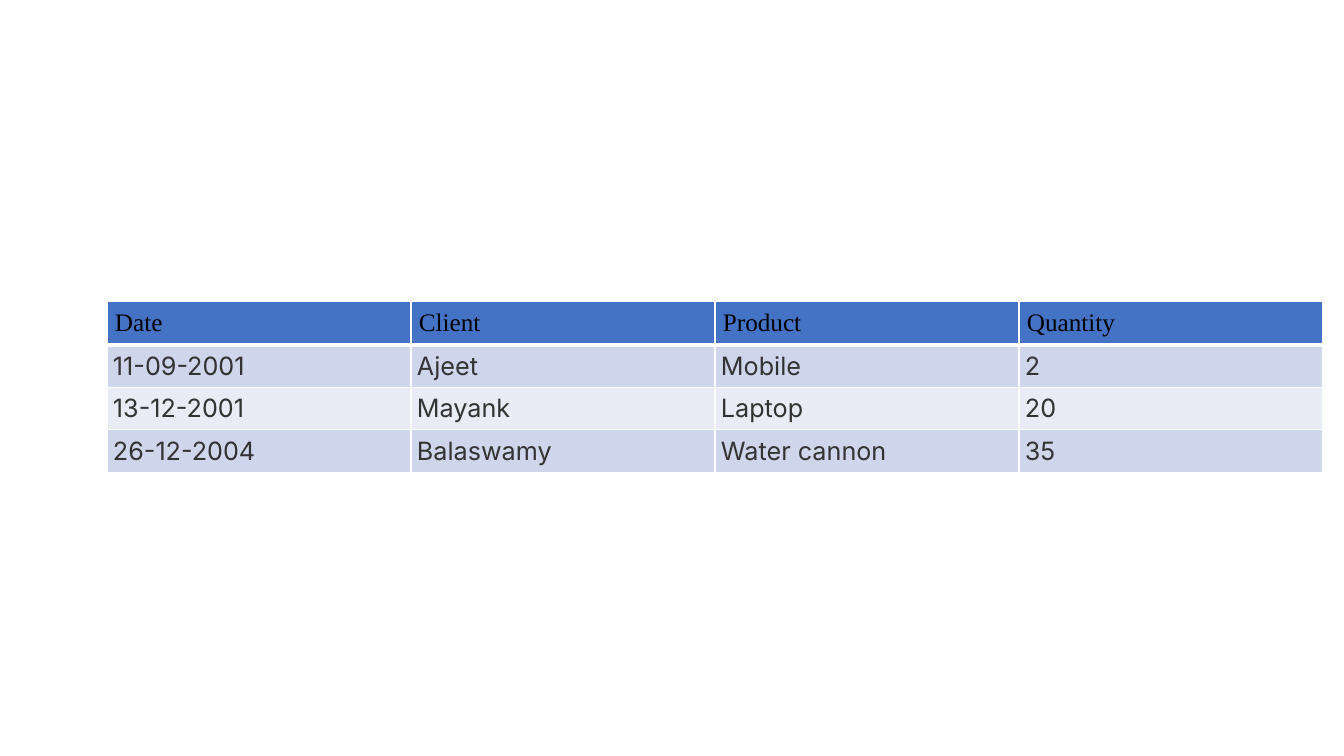
"""Build a slide with a table of client orders."""
from lxml import etree
from pptx import Presentation
from pptx.dml.color import RGBColor
from pptx.enum.text import PP_ALIGN
from pptx.oxml.ns import qn
from pptx.util import Pt

LEFT, JUSTIFY = PP_ALIGN.LEFT, PP_ALIGN.JUSTIFY
PX = 914400 / 100.8
COLUMN_WIDTH, HEADER_HEIGHT, BODY_HEIGHT = 304, 44, 41
ORDERS = [
    ["Date", "Client", "Product", "Quantity"],
    ["11-09-2001", "Ajeet", "Mobile", "2"],
    ["13-12-2001", "Mayank", "Laptop", "20"],
    ["26-12-2004", "Balaswamy", "Water cannon", "35"],
]


def px(length):
    return round(length * PX)


def write_cell(cell, text, *, font, color, fill, inset, align, bottom):
    cell.margin_left = cell.margin_right = px(inset)
    cell.margin_top = cell.margin_bottom = px(inset)
    properties = cell._tc.get_or_add_tcPr()
    for side, width in (("L", 1), ("R", 1), ("T", 1), ("B", bottom)):
        line = etree.SubElement(properties, qn(f"a:ln{side}"), w=str(Pt(width)))
        line_fill = etree.SubElement(line, qn("a:solidFill"))
        etree.SubElement(line_fill, qn("a:srgbClr"), val="FFFFFF")
    cell.fill.solid()
    cell.fill.fore_color.rgb = RGBColor.from_string(fill)
    paragraph = cell.text_frame.paragraphs[0]
    paragraph.alignment = align
    run = paragraph.add_run()
    run.text = text
    run.font.name = font
    run.font.size = Pt(18)
    run.font.bold = False
    run.font.color.rgb = RGBColor.from_string(color)


presentation = Presentation()
presentation.slide_width, presentation.slide_height = px(1344), px(756)
slide = presentation.slides.add_slide(presentation.slide_layouts[6])

table = slide.shapes.add_table(
    len(ORDERS), len(ORDERS[0]), px(107), px(301),
    px(COLUMN_WIDTH * len(ORDERS[0])),
    px(HEADER_HEIGHT + BODY_HEIGHT * (len(ORDERS) - 1)),
).table
for column in table.columns:
    column.width = px(COLUMN_WIDTH)

for row_index, order in enumerate(ORDERS):
    if row_index == 0:
        height = HEADER_HEIGHT
        style = dict(font="Times New Roman", color="000000", fill="4472C4",
                     inset=8, align=LEFT, bottom=3)
    else:
        height = BODY_HEIGHT
        style = dict(font="Inter", color="333333",
                     fill="CFD5EA" if row_index % 2 else "E9EBF5",
                     inset=6, align=JUSTIFY, bottom=1)
    table.rows[row_index].height = px(height)
    for column_index, text in enumerate(order):
        write_cell(table.cell(row_index, column_index), text, **style)

presentation.save("out.pptx")
